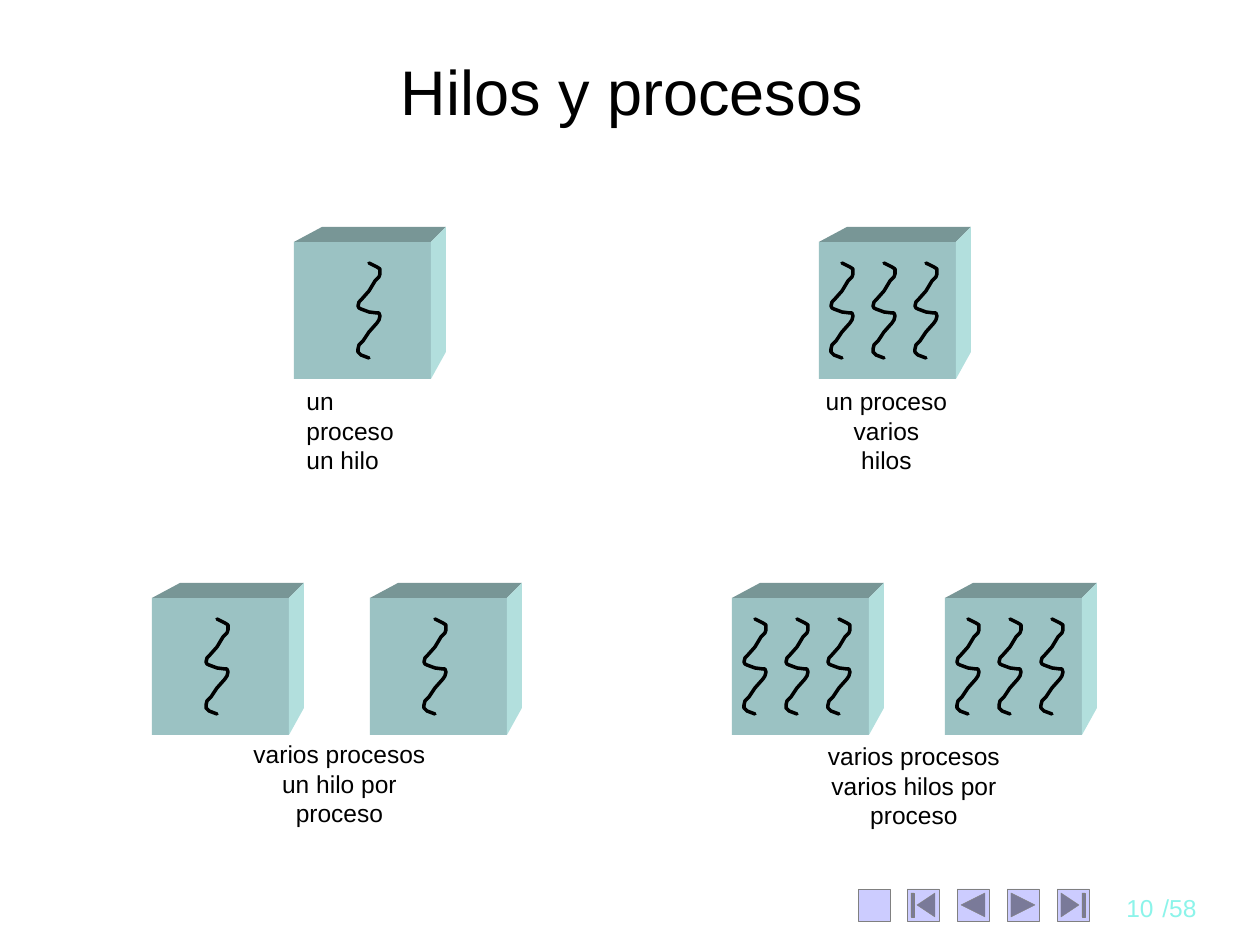
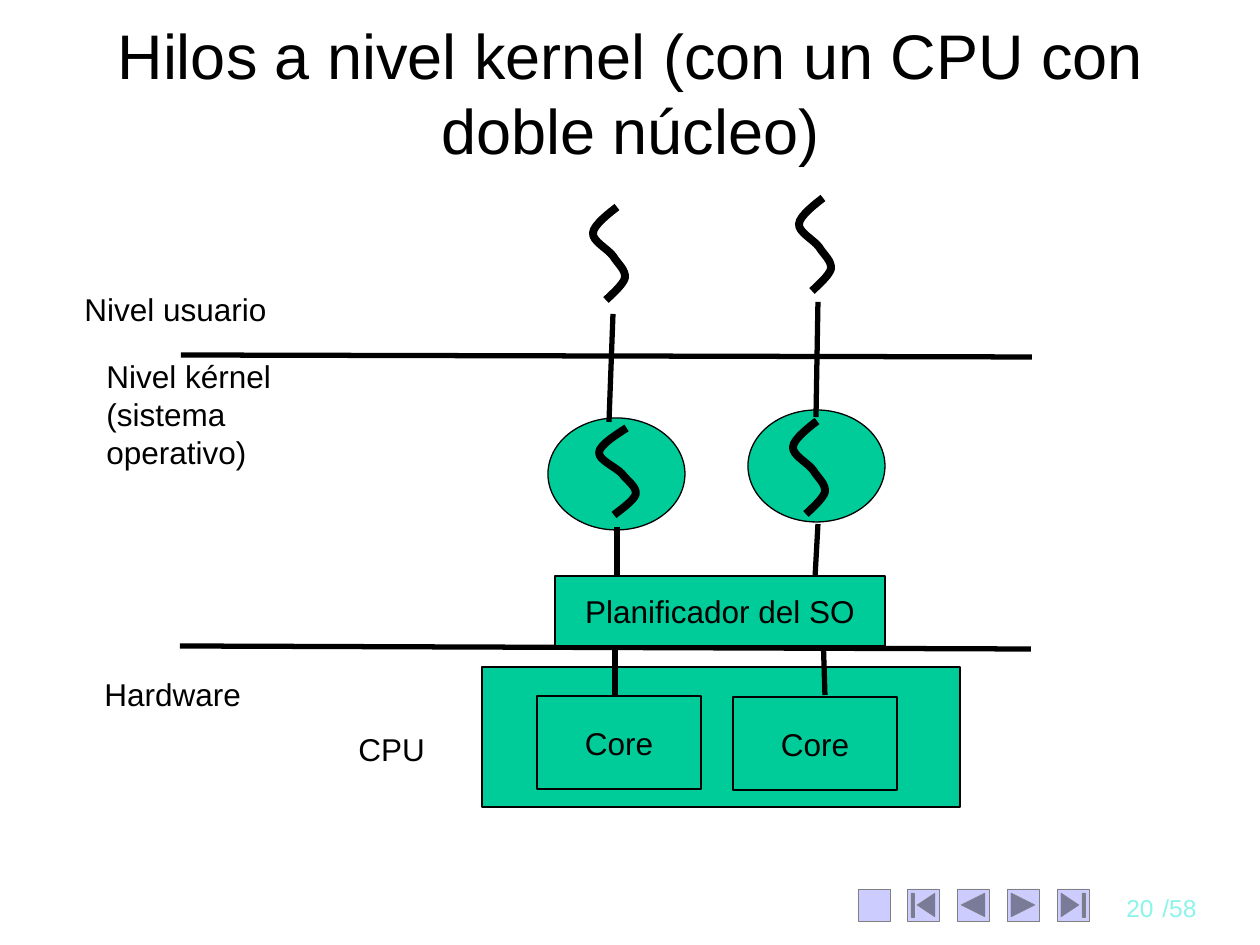
from dataclasses import dataclass

from lxml import etree
from pptx import Presentation
from pptx.dml.color import RGBColor
from pptx.enum.shapes import MSO_CONNECTOR, MSO_SHAPE
from pptx.enum.text import MSO_ANCHOR, MSO_AUTO_SIZE, PP_ALIGN
from pptx.oxml.ns import qn
from pptx.util import Pt

EMU_PER_PX = 914400 / 126


@dataclass(frozen=True)
class Theme:
    font: str = "Arial"
    ink: str = "000000"
    green: str = "00CC99"
    counter: str = "8CF4EA"
    button: str = "CCCCFF"
    button_line: str = "808080"
    cube_front: str = "9BC2C3"
    cube_top: str = "789696"
    cube_side: str = "B2DFDD"
    title_size: int = 36
    label_size: int = 18
    caption_size: int = 14


T = Theme()
LEFT, CENTER, RIGHT = PP_ALIGN.LEFT, PP_ALIGN.CENTER, PP_ALIGN.RIGHT

# ---- Shared content
TOTAL = "/58"
BUTTONS = [
    MSO_SHAPE.ACTION_BUTTON_CUSTOM,
    MSO_SHAPE.ACTION_BUTTON_BEGINNING,
    MSO_SHAPE.ACTION_BUTTON_BACK_OR_PREVIOUS,
    MSO_SHAPE.ACTION_BUTTON_FORWARD_OR_NEXT,
    MSO_SHAPE.ACTION_BUTTON_END,
]

# ---- Slide 1: cubes are processes, squiggles are threads
ONE_THREAD, THREE_THREADS = [54], [12, 54, 96]
PROCESS_GROUPS = [
    dict(cubes=[(294, 242)], threads=[64], caption=["un proceso", "un hilo"],
         box=(294, 380, 143, 72), align=LEFT),
    dict(cubes=[(819, 242)], threads=THREE_THREADS, caption=["un proceso", "varios hilos"],
         box=(813, 380, 147, 72), align=CENTER),
    dict(cubes=[(152, 598), (370, 598)], threads=ONE_THREAD,
         caption=["varios procesos", "un hilo por proceso"],
         box=(227, 733, 225, 72), align=CENTER),
    dict(cubes=[(732, 598), (945, 598)], threads=THREE_THREADS,
         caption=["varios procesos", "varios hilos por proceso"],
         box=(776, 735, 276, 72), align=CENTER),
]
CUBE = 137
CUBE_FACES = [
    (T.cube_top, [(0, 0), (28, -15), (152, -15), (CUBE, 0)]),
    (T.cube_side, [(CUBE, 0), (152, -15), (152, 110), (CUBE, CUBE)]),
]
THREAD_DROP = 21
SQUIGGLE = [
    (11, 0), (19, 4), (22, 6), (22, 11), (21, 14), (17, 18), (11, 28), (3, 37), (1, 39),
    (0, 43), (1, 45), (3, 46), (11, 49), (19, 50), (21, 50), (22, 53), (21, 57), (19, 60),
    (11, 69), (5, 78), (1, 82), (0, 86), (0, 89), (3, 92), (11, 95),
]

# ---- Slide 2: kernel threads on two cores
LEVEL_LINES = [(181, 355, 1032, 357), (180, 646, 1031, 649)]
LINKS = [
    (816, 417, 818, 302), (609, 422, 613, 314),
    (617, 587, 617, 527), (815, 578, 818, 524),
    (615, 697, 615, 630), (825, 695, 823, 631),
]
KERNEL_SLOTS = [(548, 418, 137, 112), (748, 410, 137, 112)]
CPU = (482, 667, 478, 140)
CORES = [(537, 696, 164, 93), (733, 697, 164, 93)]
SCHEDULER = (555, 576, 330, 70)
LEVEL_LABELS = [
    ("Nivel usuario", (72, 284, 249, 50)),
    ("Nivel kérnel (sistema operativo)", (94, 351, 249, 126)),
    ("Hardware", (92, 669, 175, 50)),
    ("CPU", (346, 724, 92, 50)),
]
KERNEL_THREADS = [(592, 207, 34, 93), (798, 198, 34, 93), (598, 428, 39, 87), (792, 421, 34, 93)]
WAVE_SIZE = (34, 93)
WAVE = [  # start, then two control points and an end point for each curve
    (25, 0),
    (20, 4), (1, 18), (1, 26),
    (0, 34), (16, 42), (21, 49),
    (26, 57), (34, 63), (33, 71),
    (31, 78), (18, 89), (14, 93),
]


# ---- Drawing helpers
def px(*values):
    return [round(v * EMU_PER_PX) for v in values]


def rgb(value):
    return RGBColor.from_string(value)


def paint(sp, fill=None, line=None, width=0.75):
    sp.shadow.inherit = False
    if fill:
        sp.fill.solid()
        sp.fill.fore_color.rgb = rgb(fill)
    else:
        sp.fill.background()
    if line:
        sp.line.color.rgb = rgb(line)
        sp.line.width = Pt(width)
    else:
        sp.line.fill.background()


def write(tf, lines, size, color=T.ink, align=LEFT, anchor=MSO_ANCHOR.TOP, wrap=True):
    tf.word_wrap = wrap
    tf.auto_size = MSO_AUTO_SIZE.NONE
    tf.vertical_anchor = anchor
    for i, line in enumerate(lines):
        p = tf.paragraphs[0] if i == 0 else tf.add_paragraph()
        p.text = line
        p.alignment = align
        p.font.name, p.font.size = T.font, Pt(size)
        p.font.color.rgb = rgb(color)


def add_text(s, box, lines, size, **style):
    sp = s.shapes.add_textbox(*px(*box))
    write(sp.text_frame, lines, size, **style)
    return sp


def add_box(s, kind, box, text=None, fill=T.green, line=T.ink, width=0.75):
    sp = s.shapes.add_shape(kind, *px(*box))
    paint(sp, fill, line, width)
    if text:
        write(sp.text_frame, [text], T.label_size, align=CENTER,
              anchor=MSO_ANCHOR.MIDDLE, wrap=False)
    return sp


def add_outline(s, left, top, points, closed=False):
    start, *rest = [px(left + x, top + y) for x, y in points]
    fb = s.shapes.build_freeform(*start)
    fb.add_line_segments(rest, close=closed)
    return fb.convert_to_shape()


def add_line(s, ends):
    cn = s.shapes.add_connector(MSO_CONNECTOR.STRAIGHT, *px(*ends))
    cn.line.color.rgb = rgb(T.ink)
    cn.line.width = Pt(3)
    etree.SubElement(cn._element.spPr, qn("a:effectLst"))


def add_wave(s, left, top, width, height):
    """Draw the S-shaped thread, turning each three segments into one curve."""
    points = [(x * width / WAVE_SIZE[0], y * height / WAVE_SIZE[1]) for x, y in WAVE]
    sp = add_outline(s, left, top, points)
    segments = list(sp._element.iter(qn("a:lnTo")))
    outline = segments[0].getparent()
    for i in range(0, len(segments), 3):
        curve = etree.SubElement(outline, qn("a:cubicBezTo"))
        for segment in segments[i:i + 3]:
            curve.append(segment[0])
            outline.remove(segment)
    paint(sp, line=T.ink, width=4.5)


def add_cube(s, left, top, threads):
    add_box(s, MSO_SHAPE.RECTANGLE, (left, top, CUBE, CUBE), fill=T.cube_front, line=None)
    for color, face in CUBE_FACES:
        paint(add_outline(s, left, top, face, closed=True), color)
    for dx in threads:
        sp = add_outline(s, left + dx, top + THREAD_DROP, SQUIGGLE)
        paint(sp, line=T.ink, width=2)
        sp._element.spPr.find(qn("a:ln")).set("cap", "rnd")


def add_footer(s):
    """Put the navigation buttons and the page total on the shared layout."""
    parts = [add_box(s, kind, (858 + 199 * i // 4, 889, 32, 32), fill=T.button,
                     line=T.button_line, width=0.25) for i, kind in enumerate(BUTTONS)]
    parts.append(add_text(s, (1150, 887, 66, 42), [TOTAL], T.caption_size, color=T.counter))
    for sp in parts:
        s.slide_layout.shapes._spTree.append(sp._element)


def new_slide(prs, title, title_box, number):
    s = prs.slides.add_slide(prs.slide_layouts[5])
    sp = s.shapes.title
    sp.left, sp.top, sp.width, sp.height = px(*title_box)
    write(sp.text_frame, [title], T.title_size, align=CENTER, anchor=MSO_ANCHOR.MIDDLE)
    add_text(s, (1097, 887, 69, 42), [number], T.caption_size, color=T.counter, align=RIGHT)
    return s


# ---- Slides
def processes_slide(prs):
    s = new_slide(prs, "Hilos y procesos", (49, 46, 1166, 88), "10")
    for group in PROCESS_GROUPS:
        for left, top in group["cubes"]:
            add_cube(s, left, top, group["threads"])
        add_text(s, group["box"], group["caption"], T.caption_size, align=group["align"])
    return s


def kernel_slide(prs):
    s = new_slide(prs, "Hilos a nivel kernel (con un CPU con doble núcleo)",
                  (63, 37, 1135, 110), "20")
    for slot in KERNEL_SLOTS:
        add_box(s, MSO_SHAPE.OVAL, slot)
    add_box(s, MSO_SHAPE.RECTANGLE, CPU)
    for core in CORES:
        add_box(s, MSO_SHAPE.RECTANGLE, core, "Core")
    for ends in LEVEL_LINES + LINKS:
        add_line(s, ends)
    for thread in KERNEL_THREADS:
        add_wave(s, *thread)
    for text, box in LEVEL_LABELS:
        add_text(s, box, [text], T.label_size)
    add_box(s, MSO_SHAPE.RECTANGLE, SCHEDULER, "Planificador del SO")


def main():
    prs = Presentation()
    prs.slide_width, prs.slide_height = px(1260, 945)
    add_footer(processes_slide(prs))
    kernel_slide(prs)
    prs.save("out.pptx")


if __name__ == "__main__":
    main()
